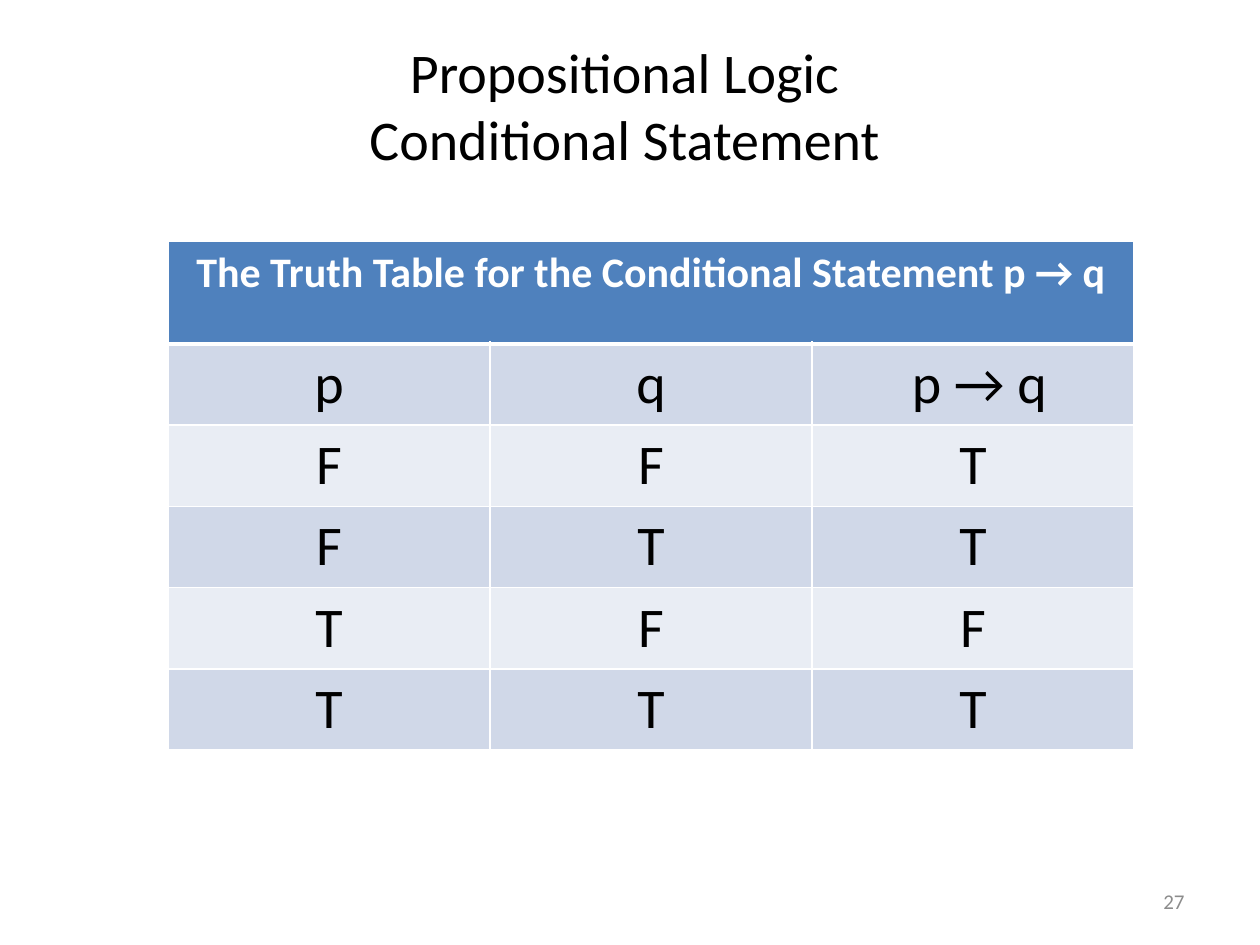
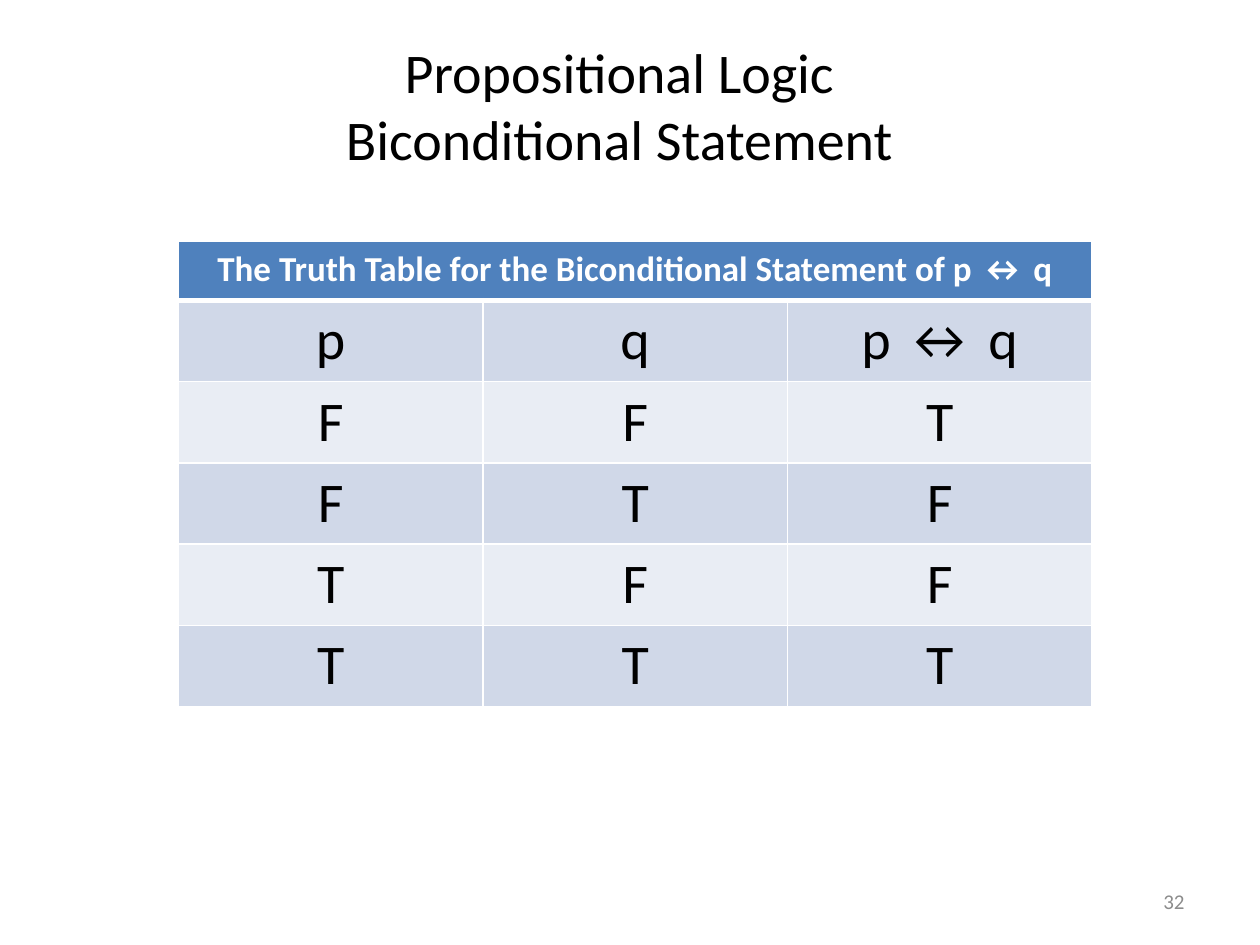
"""Build two truth-table slides on conditional and biconditional statements."""
from dataclasses import dataclass

from lxml.etree import SubElement
from pptx import Presentation
from pptx.dml.color import RGBColor
from pptx.enum.text import MSO_ANCHOR as Anchor, PP_ALIGN as Align
from pptx.oxml.ns import qn
from pptx.util import Inches, Pt


@dataclass(frozen=True)
class Theme:
    font: str = "Calibri"
    ink: str = "000000"
    paper: str = "FFFFFF"
    accent: str = "4F81BD"
    muted: str = "8C8C8C"
    bands: tuple = ("D0D8E8", "E9EDF4")
    body: int = 32
    small: int = 12
    line: int = 1
    heavy: int = 3


theme = Theme()
prs = Presentation()
prs.slide_width, prs.slide_height = Inches(10), Inches(7.5)
COL, ROW = prs.slide_width / 120, prs.slide_height / 90
BODY_ROW = 7.74


def write(tf, text, size=theme.body, color=theme.ink, bold=False,
          align=Align.CENTER, anchor=Anchor.TOP):
    tf.word_wrap = True
    tf.vertical_anchor = anchor
    for i, line in enumerate(text.split("\n")):
        p = tf.paragraphs[0] if i == 0 else tf.add_paragraph()
        p.alignment = align
        r = p.add_run()
        r.text = line
        r.font.name, r.font.size, r.font.bold = theme.font, Pt(size), bold
        r.font.color.rgb = RGBColor.from_string(color)


def paint(cell, fill, bottom=theme.line, top=theme.line):
    pr = cell._tc.get_or_add_tcPr()
    widths = {"lnL": theme.line, "lnR": theme.line, "lnT": top, "lnB": bottom}
    for side, width in widths.items():
        ln = SubElement(pr, qn(f"a:{side}"), w=str(Pt(width)))
        solid = SubElement(ln, qn("a:solidFill"))
        SubElement(solid, qn("a:srgbClr"), val=theme.paper)
    cell.fill.solid()
    cell.fill.fore_color.rgb = RGBColor.from_string(fill)


slides = [
    dict(number="27", title="Propositional Logic\nConditional Statement",
         title_cols=(7, 105), table_cols=(16, 92), head_rows=9.75, head_size=24,
         head="The Truth Table for the Conditional Statement p → q",
         formula=" p → q", results="TTFT"),
    dict(number="32", title="Propositional Logic\nBiconditional Statement",
         title_cols=(0, 118), table_cols=(17, 87), head_rows=5.6, head_size=20,
         head="The Truth Table for the Biconditional Statement of p ↔ q",
         formula=" p ↔ q ", results="TFFT"),
]

for d in slides:
    s = prs.slides.add_slide(prs.slide_layouts[6])

    sp = s.shapes.add_textbox(int(86 * COL), int(83.4 * ROW), int(28 * COL), int(4.8 * ROW))
    write(sp.text_frame, d["number"], size=theme.small, color=theme.muted,
          align=Align.RIGHT, anchor=Anchor.MIDDLE)

    left, width = d["title_cols"]
    sp = s.shapes.add_textbox(int(left * COL), int(3 * ROW), int(width * COL), int(84 * ROW))
    write(sp.text_frame, d["title"])

    rows = [("p", "q", d["formula"]), *zip("FFTT", "FTFT", d["results"])]
    left, width = d["table_cols"]
    height = d["head_rows"] + BODY_ROW * len(rows)
    table = s.shapes.add_table(len(rows) + 1, 3, int(left * COL), int(23 * ROW),
                               int(width * COL), int(height * ROW)).table
    for column in table.columns:
        column.width = int(width * COL / 3)
    for i, row in enumerate(table.rows):
        row.height = int((BODY_ROW if i else d["head_rows"]) * ROW)

    for cell in table.rows[0].cells:
        paint(cell, theme.accent, bottom=theme.heavy)
    head = table.cell(0, 0)
    head.merge(table.cell(0, 2))
    write(head.text_frame, d["head"], size=d["head_size"], color=theme.paper, bold=True)

    for i, values in enumerate(rows):
        for j, value in enumerate(values):
            cell = table.cell(i + 1, j)
            paint(cell, theme.bands[i % 2], top=theme.line if i else theme.heavy)
            write(cell.text_frame, value)

prs.save("out.pptx")
